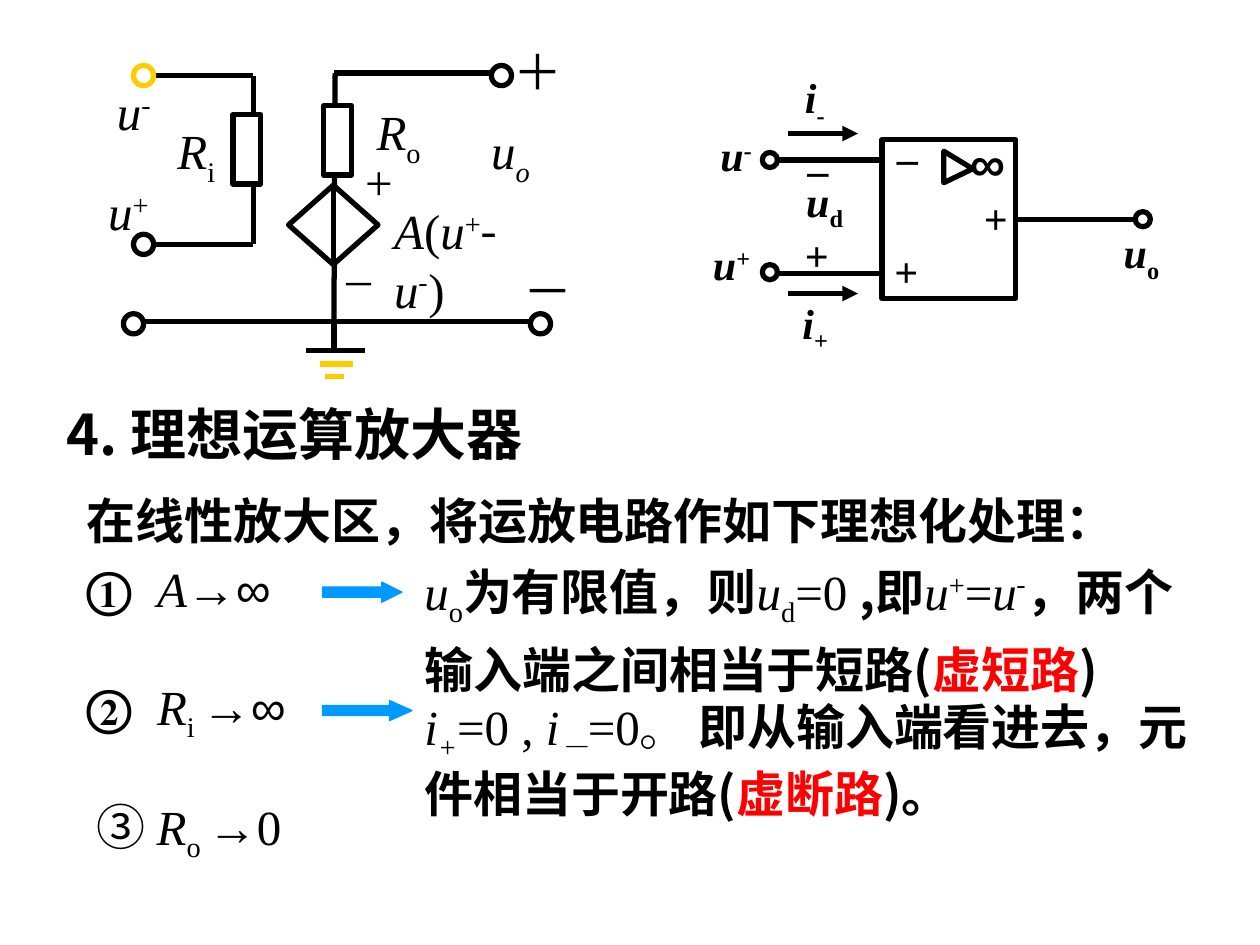
from lxml.etree import SubElement
from pptx import Presentation
from pptx.dml.color import RGBColor as RGB
from pptx.enum.shapes import MSO_CONNECTOR as Link, MSO_SHAPE as Kind
from pptx.enum.text import MSO_ANCHOR as Anchor, MSO_AUTO_SIZE as Auto, PP_ALIGN as Align
from pptx.oxml.ns import qn
from pptx.util import Inches, Pt


class Theme:
    black, white, red = "000000", "FFFFFF", "FF0000"
    gold, blue = "FFCC00", "0099FF"
    serif, sans, cjk = "Times New Roman", "Arial", "Noto Sans CJK SC"
    head, body, label = 32, 28, 24
    wire, thin = 3, 0.75


# Letters that make up a run's style
MARKS = {
    "i": {"italic": True},
    "b": {"bold": True},
    "C": {"name": Theme.cjk},
    "A": {"name": Theme.sans},
    "r": {"color": Theme.red},
    "s": {"size": Pt(Theme.label)},
    "^": {"base": "30000"},
    "_": {"base": "-25000"},
}


def write(box, runs, size, wrap=True, gap=None):
    """Fill a text box with (text, marks) runs; marks are keys of MARKS."""
    frame = box.text_frame
    frame.word_wrap = wrap
    frame.vertical_anchor = Anchor.TOP
    frame.auto_size = Auto.SHAPE_TO_FIT_TEXT
    para = frame.paragraphs[0]
    para.alignment = Align.LEFT
    if gap:
        para.line_spacing = gap
    for text, marks in runs:
        run = para.add_run()
        run.text = text
        look = {"name": Theme.serif, "size": Pt(size), "color": Theme.black,
                "bold": False, "italic": False, "base": None}
        for mark in marks:
            look.update(MARKS[mark])
        color, base = look.pop("color"), look.pop("base")
        for key, value in look.items():
            setattr(run.font, key, value)
        run.font.color.rgb = RGB.from_string(color)
        props = run._r.get_or_add_rPr()
        SubElement(props, qn("a:ea")).set("typeface", look["name"])
        if base:
            props.set("baseline", base)


def ink(shape, fill, line, width=Theme.wire):
    shape.shadow.inherit = False
    if fill:
        shape.fill.solid()
        shape.fill.fore_color.rgb = RGB.from_string(fill)
    else:
        shape.fill.background()
    shape.line.color.rgb = RGB.from_string(line)
    shape.line.width = Pt(width)


deck = Presentation()
deck.slide_width, deck.slide_height = Inches(10), Inches(7.5)
slide = deck.slides.add_slide(deck.slide_layouts[5])

title = slide.shapes.title
title.left, title.top, title.width, title.height = map(Inches, (0.43, 3.12, 4.17, 1.17))
write(title, [("4. 理想运算放大器", "Cb")], Theme.head)

# Wires: x1, y1, x2, y2, colour, arrow
# Parts: kind, x, y, width, height, turn, line colour
# Labels: x, y, width, height, wrap, size, runs
K, G = Theme.black, Theme.gold
B, S = Theme.body, Theme.label
ring, block = Kind.OVAL, Kind.RECTANGLE
model = {
    "wires": [
        (2.66, 0.58, 2.65, 2.57, K, False),
        (2.65, 0.58, 3.9, 0.58, K, False),
        (2.01, 0.6, 2.01, 1.94, K, False),
        (2.01, 0.6, 1.22, 0.6, K, False),
        (2.01, 1.94, 1.24, 1.94, K, False),
        (1.1, 2.55, 4.24, 2.55, K, False),
        (2.65, 2.57, 2.65, 2.78, K, False),
        (2.43, 2.78, 2.9, 2.78, K, False),
        (2.54, 2.89, 2.8, 2.89, G, False),
        (2.58, 2.99, 2.73, 2.99, G, False),
    ],
    "parts": [
        (block, 2.57, 0.84, 0.22, 0.55, 0, K),
        (block, 1.85, 0.91, 0.22, 0.55, 0, K),
        (Kind.FLOWCHART_SORT, 2.33, 1.43, 0.63, 0.71, 90, K),
    ] + [(ring, x, y, 0.16, 0.16, 0, color) for x, y, color in (
        (4.21, 2.49, K), (0.98, 2.49, K), (1.06, 0.52, G), (1.06, 1.86, K), (3.9, 0.52, K))],
    "labels": [
        (2.8, 1.15, 0.42, 0.57, False, B, [("+", "")]),
        (2.65, 1.78, 0.39, 0.57, False, B, [("_", "")]),
        (3.03, 1.54, 1.2, 1.04, True, B, [("A", "i"), ("(", ""), ("u", "i"), ("+", "^"),
                                          ("-", "C"), ("u", "i"), ("-", "C^"), (")", "")]),
        (2.89, 0.76, 0.55, 0.63, False, B, [("R", "i"), ("o", "_")]),
        (1.31, 0.91, 0.5, 0.63, False, B, [("R", "i"), ("i", "_")]),
        (0.76, 1.39, 0.52, 0.57, False, B, [("u", "i"), ("+", "^")]),
        (0.83, 0.6, 0.57, 0.57, True, B, [("u", "i"), ("-", "C^")]),
        (3.98, 0.28, 0.47, 0.57, True, B, [("＋", "A")]),
        (4.06, 2.02, 0.47, 0.57, True, B, [("－", "A")]),
        (3.8, 0.91, 0.79, 0.63, True, B, [("u", "i"), ("o", "i_")]),
    ],
}
symbol = {
    "wires": [
        (7, 1.27, 6.14, 1.27, K, False),
        (7, 2.17, 6.14, 2.17, K, False),
        (8.06, 1.74, 9.04, 1.74, K, False),
        (6.25, 1.06, 6.81, 1.06, K, True),
        (6.25, 2.33, 6.81, 2.33, K, True),
    ],
    "parts": [
        (block, 7, 1.11, 1.06, 1.26, 0, K),
        (Kind.ISOSCELES_TRIANGLE, 7.48, 1.21, 0.25, 0.23, 90, K),
    ] + [(ring, x, y, 0.12, 0.12, 0, K) for x, y in ((9.01, 1.68), (6.05, 1.21), (6.05, 2.1))],
    "labels": [
        (6.29, 1.77, 0.39, 0.5, False, S, [("+", "b")]),
        (6.31, 0.98, 0.36, 0.5, False, S, [("_", "b")]),
        (6.3, 1.34, 0.52, 0.56, True, S, [("u", "bi"), ("d", "b_")]),
        (5.56, 1.84, 0.55, 0.5, True, S, [("u", "bi"), ("+", "b^")]),
        (5.62, 0.98, 0.5, 0.5, True, S, [("u", "bi"), ("-", "bi^")]),
        (8.82, 1.75, 0.52, 0.56, True, S, [("u", "bi"), ("o", "b_")]),
        (7.02, 0.88, 0.36, 0.5, False, S, [("_", "b")]),
        (7, 1.9, 0.39, 0.5, False, S, [("+", "b")]),
        (7.6, 1, 0.49, 0.57, False, B, [("∞", "Ab")]),
        (7.71, 1.48, 0.39, 0.5, False, S, [("+", "b")]),
        (6.29, 0.52, 0.58, 0.56, True, S, [("i", "bi"), ("-", "b_")]),
        (6.27, 2.31, 0.58, 0.56, True, S, [("i", "bi"), ("+", "b_")]),
    ],
}

for plan in (model, symbol):
    group = slide.shapes.add_group_shape().shapes
    wires = []
    for *ends, color, arrow in plan["wires"]:
        wire = group.add_connector(Link.STRAIGHT, *map(Inches, ends))
        wire.line.color.rgb = RGB.from_string(color)
        wire.line.width = Pt(Theme.wire)
        if arrow:
            SubElement(wire.line._get_or_add_ln(), qn("a:tailEnd")).set("type", "triangle")
        SubElement(wire._element.spPr, qn("a:effectLst"))
        wires.append(wire)
    parts = []
    for kind, *area, turn, color in plan["parts"]:
        part = group.add_shape(kind, *map(Inches, area))
        part.rotation = turn
        ink(part, None if color == G else Theme.white, color)
        parts.append(part)
    if plan is symbol:
        wires[2].begin_connect(parts[0], 3)
        parts[1].adjustments[0] = 0.56
    for *area, wrap, size, runs in plan["labels"]:
        write(group.add_textbox(*map(Inches, area)), runs, size, wrap)

# Ideal conditions and what follows from them
notes = [
    (0.59, 3.75, 8.66, 0.66, 1.2, [("在线性放大区，将运放电路作如下理想化处理：", "Cb")]),
    (0.59, 4.38, 1.89, 0.57, None, [("①  ", "b"), ("A", "i"), ("→∞", "A")]),
    (3.27, 4.3, 6.42, 1.3, 1.2, [
        ("u", "i"), ("o", "_"), ("为有限值，则", "Cb"), ("u", "i"), ("d", "_"), ("=0 ", ""),
        (",即", "Cb"), ("u", "i"), ("+", "^"), ("=", ""), ("u", "i"), ("-", "C^"),
        ("，两个输入端之间相当于短路(", "Cb"), ("虚短路", "Cbr"), (")", "Cb")]),
    (0.59, 5.32, 2.21, 0.63, None, [("②  ", "b"), ("R", "i"), ("i ", "_"), ("→∞", "A")]),
    (3.27, 5.48, 6.54, 1.1, None, [
        ("i", "i"), ("+", "i_"), ("=0 , ", ""), ("i", "i"), ("－", "i_"), ("=0。", ""),
        (" ", "Cbs"), ("即从输入端看进去，元件相当于开路(", "Cb"), ("虚断路", "Cbr"),
        (")。", "Cb")]),
    (0.67, 6.27, 2.44, 0.63, None, [("③ ", "C"), ("R", "i"), ("o ", "_"), ("→", "A"), ("0", "")]),
]
for *area, gap, runs in notes:
    write(slide.shapes.add_textbox(*map(Inches, area)), runs, Theme.body, gap=gap)

for top, width, tip in ((4.62, 0.63, 1), (5.56, 0.71, 1.12)):
    arrow = slide.shapes.add_shape(Kind.RIGHT_ARROW, *map(Inches, (2.56, top, width, 0.16)))
    arrow.adjustments[1] = tip
    ink(arrow, Theme.blue, Theme.blue, Theme.thin)

deck.save("out.pptx")
